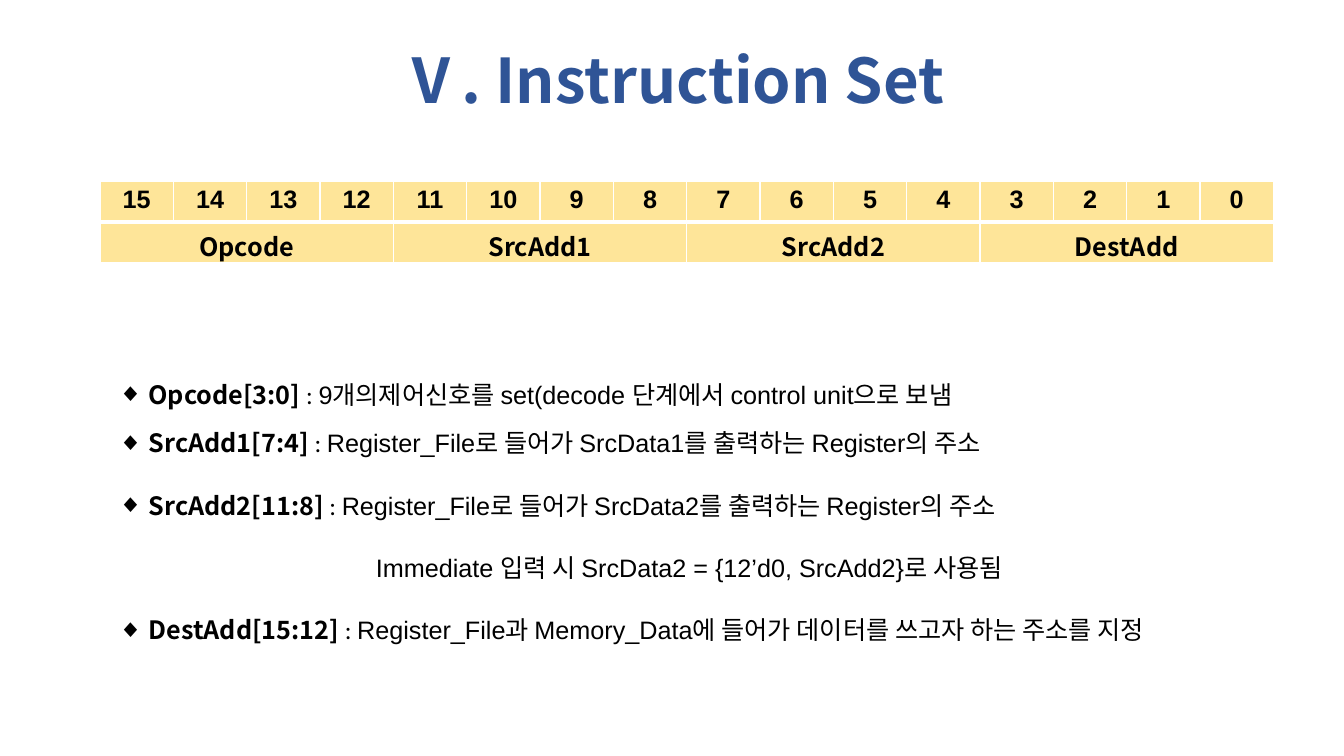
from lxml.etree import SubElement as Sub
from pptx import Presentation
from pptx.dml.color import RGBColor
from pptx.enum.text import MSO_ANCHOR as Anchor, PP_ALIGN as Align
from pptx.oxml.ns import qn
from pptx.util import Emu, Pt

BLACK = RGBColor(0x00, 0x00, 0x00)
WHITE = RGBColor(0xFF, 0xFF, 0xFF)
NAVY = RGBColor(0x2F, 0x54, 0x96)
SAND = RGBColor(0xFE, 0xE5, 0x99)
ARIAL, CALIBRI, NOTO = "Arial", "Calibri", "Noto Sans CJK KR"

BITS = [str(bit) for bit in range(15, -1, -1)]
FIELDS = ["Opcode", "SrcAdd1", "SrcAdd2", "DestAdd"]
NOTES = [
    ("Opcode[3:0]", "9개의제어신호를 set(decode 단계에서 control unit으로 보냄", 0),
    ("SrcAdd1[7:4]", "Register_File로 들어가 SrcData1를 출력하는 Register의 주소", 0),
    ("SrcAdd2[11:8]", "Register_File로 들어가 SrcData2를 출력하는 Register의 주소", 10),
    (None, "Immediate 입력 시 SrcData2 = {12’d0, SrcAdd2}로 사용됨", 10),
    ("DestAdd[15:12]", "Register_File과 Memory_Data에 들어가 데이터를 쓰고자 하는 주소를 지정", 10),
]


def px(n):
    return Emu(round(n * 914400 / 100.8))


class Deck:
    """Holds the text style and the current slide, and draws each kind of element."""

    def __init__(self, prs, size=18):
        self.s = prs.slides.add_slide(prs.slide_layouts[6])
        self.size = size

    def run(self, p, text, font, bold=False, size=None, color=BLACK):
        r = p.add_run()
        r.text = text
        r.font.name, r.font.bold = font, bold
        r.font.size = Pt(size or self.size)
        r.font.color.rgb = color
        Sub(r.font._element, qn("a:ea"), typeface=NOTO)

    def box(self, x, y, w, h, anchor=Anchor.TOP):
        tf = self.s.shapes.add_textbox(px(x), px(y), px(w), px(h)).text_frame
        tf.word_wrap = True
        tf.vertical_anchor = anchor
        return tf

    def title(self, text, x, y, w, h):
        p = self.box(x, y, w, h, Anchor.MIDDLE).paragraphs[0]
        p.alignment, p.line_spacing = Align.CENTER, 0.9
        self.run(p, text, NOTO, True, 44, NAVY)

    def bullet(self, pPr):
        Sub(Sub(pPr, qn("a:buClr")), qn("a:srgbClr"), val=str(BLACK))
        Sub(pPr, qn("a:buFont"), typeface=ARIAL)
        Sub(pPr, qn("a:buChar"), char="◆")

    def notes(self, notes, x, y, w, h):
        tf = self.box(x, y, w, h)
        for i, (label, text, before) in enumerate(notes):
            p = tf.add_paragraph() if i else tf.paragraphs[0]
            p.alignment, p.line_spacing = Align.JUSTIFY, 1.6
            p.space_before = Pt(before)
            pPr = p._p.get_or_add_pPr()
            pPr.set("marL", str(px(25 if label else 258)))
            pPr.set("indent", str(px(-25 if label else 0)))
            if label:
                self.bullet(pPr)
                self.run(p, " ", CALIBRI, True)
                self.run(p, label + " ", NOTO, True)
                self.run(p, ": ", CALIBRI)
            self.run(p, text, ARIAL)

    def cell(self, cell, bottom):
        tcPr = cell._tc.get_or_add_tcPr()
        for side, width in (("L", 1), ("R", 1), ("T", 1), ("B", bottom)):
            ln = Sub(tcPr, qn(f"a:ln{side}"), w=str(Pt(width)))
            Sub(Sub(ln, qn("a:solidFill")), qn("a:srgbClr"), val=str(WHITE))
        cell.fill.solid()
        cell.fill.fore_color.rgb = SAND

    def label(self, cell, text, font):
        p = cell.text_frame.paragraphs[0]
        p.alignment = Align.CENTER
        self.run(p, text, font, True)

    def word_format(self, bits, fields, x, y, w, h):
        n, span = len(bits), len(bits) // len(fields)
        table = self.s.shapes.add_table(2, n, px(x), px(y), px(w), px(h)).table
        table.first_row = table.horz_banding = False
        for i, bit in enumerate(bits):
            table.columns[i].width = Emu(px(w) // n)
            self.cell(table.cell(0, i), 3)
            self.cell(table.cell(1, i), 1)
            self.label(table.cell(0, i), bit, ARIAL)
        for i, field in enumerate(fields):
            first = table.cell(1, i * span)
            first.merge(table.cell(1, (i + 1) * span - 1))
            self.label(first, field, NOTO)


def main():
    prs = Presentation()
    prs.slide_width, prs.slide_height = px(1344), px(756)
    deck = Deck(prs)
    deck.notes(NOTES, 108, 356, 1159, 436)
    deck.word_format(BITS, FIELDS, 100, 181, 1174, 82)
    deck.title("Ⅴ. Instruction Set", 93, 11, 1159, 146)
    prs.save("out.pptx")


if __name__ == "__main__":
    main()
